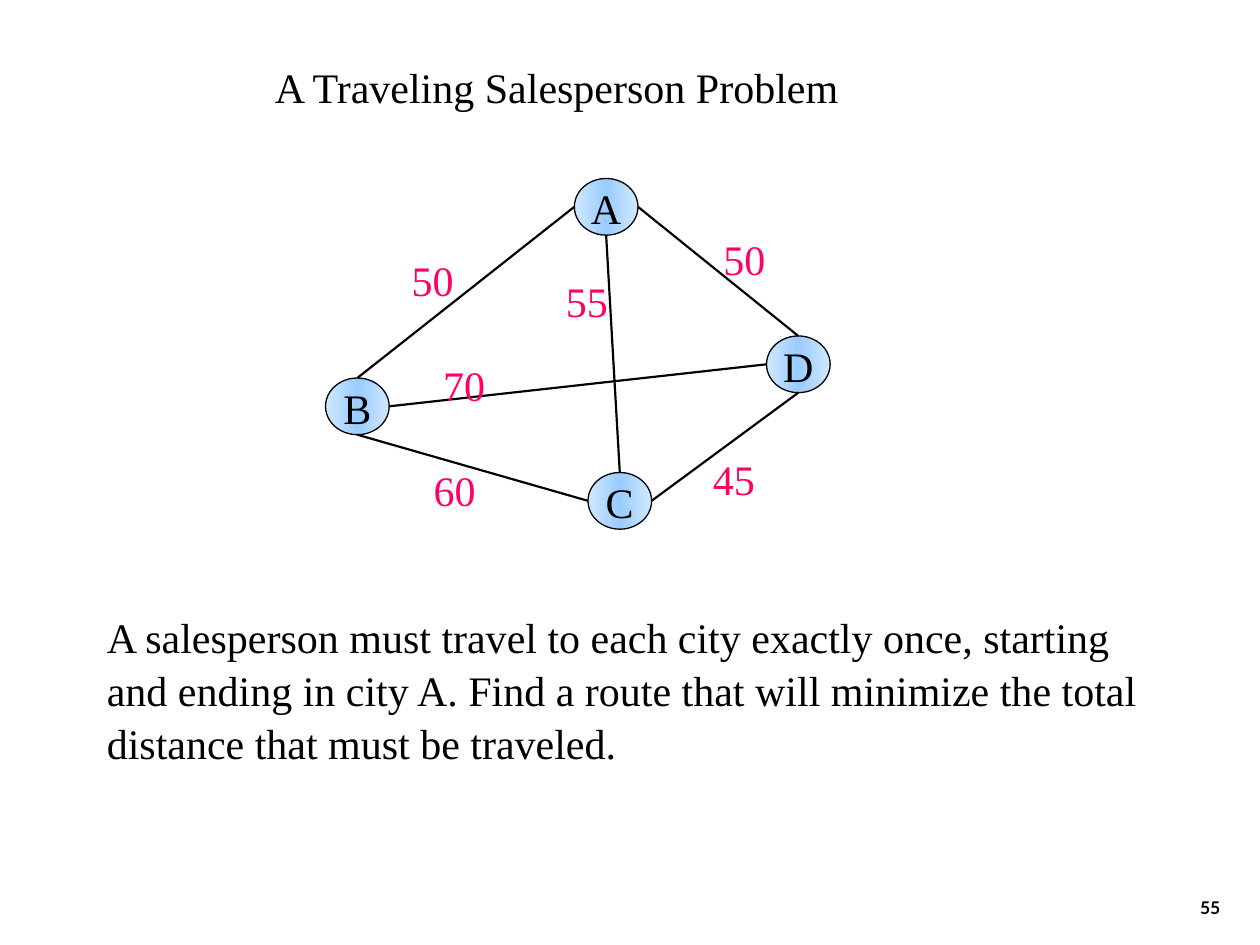
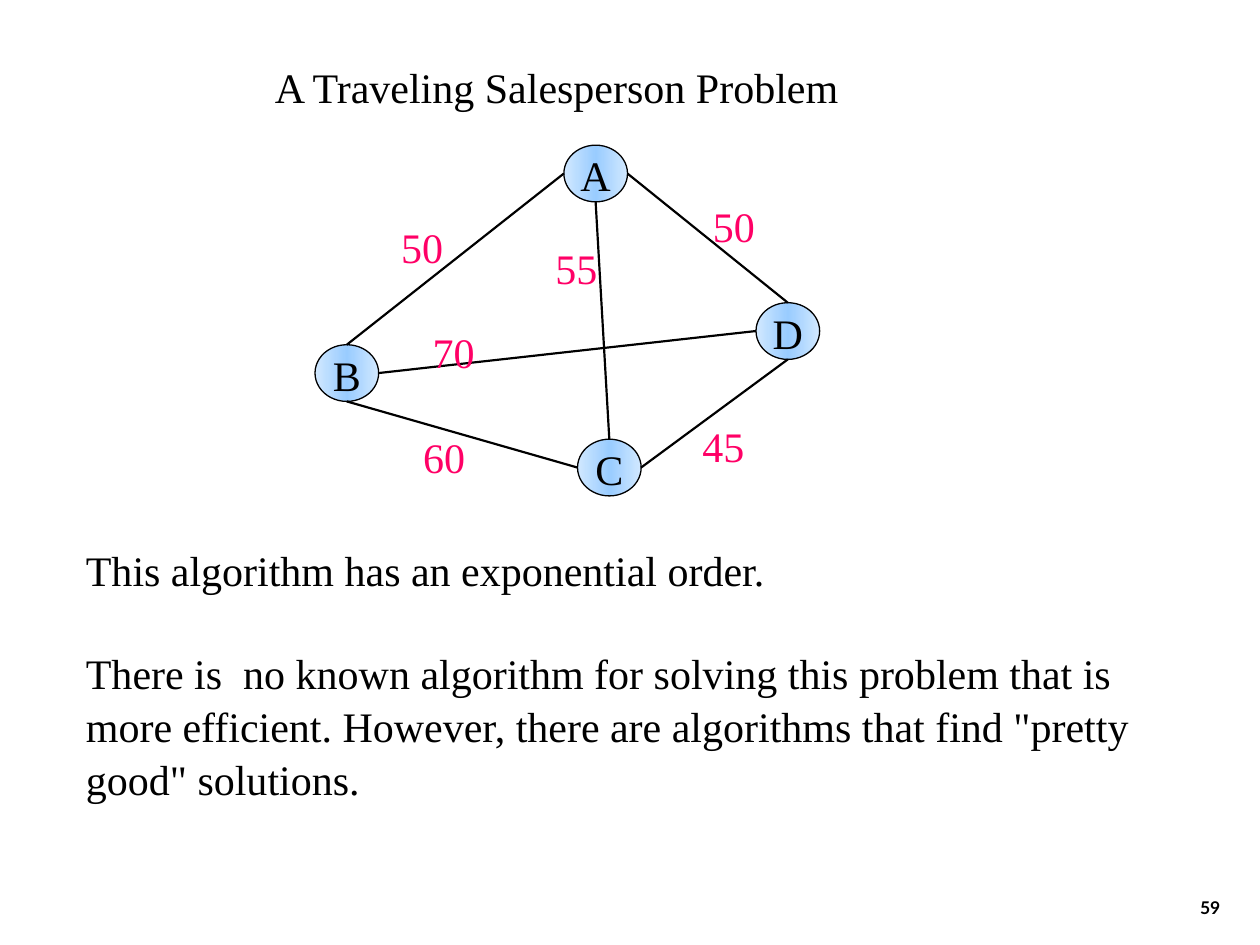
from dataclasses import dataclass
from enum import Enum

from lxml.etree import SubElement
from pptx import Presentation
from pptx.dml.color import RGBColor
from pptx.enum.shapes import MSO_CONNECTOR, MSO_SHAPE
from pptx.enum.text import MSO_ANCHOR, PP_ALIGN
from pptx.oxml.ns import qn
from pptx.shapes.autoshape import Shape
from pptx.shapes.shapetree import GroupShapes
from pptx.slide import Slide
from pptx.util import Inches, Length, Pt

SLIDE_WIDTH, SLIDE_HEIGHT = Inches(10), Inches(7.5)
COLUMNS, ROWS = 120, 90

BLACK = "000000"
DISTANCE_COLOR = "FF0066"
CITY_GRADIENT = ((0, "D1E8FF"), (50, "99CCFF"), (100, "D1E8FF"))

SERIF, SANS = "Times New Roman", "Lato"
TITLE = "A Traveling Salesperson Problem"
LINE_SPACING = 1.05
BLANK_LINE = Pt(29)


class Side(Enum):
    TOP = (0.5, 0)
    LEFT = (0, 0.5)
    BOTTOM = (0.5, 1)
    RIGHT = (1, 0.5)


@dataclass(frozen=True)
class Box:
    column: float
    row: float
    columns: float
    rows: float

    def moved(self, columns: float, rows: float) -> "Box":
        return Box(self.column + columns, self.row + rows, self.columns, self.rows)

    def place(self) -> tuple[Length, Length, Length, Length]:
        return across(self.column), down(self.row), across(self.columns), down(self.rows)

    def middle_of(self, side: Side) -> tuple[Length, Length]:
        share_across, share_down = side.value
        return (across(self.column + self.columns * share_across),
                down(self.row + self.rows * share_down))


@dataclass(frozen=True)
class TextStyle:
    font: str = SERIF
    size: int = 24
    color: str = BLACK
    bold: bool = False
    align: PP_ALIGN = PP_ALIGN.LEFT
    anchor: MSO_ANCHOR = MSO_ANCHOR.TOP
    wrap: bool = True
    spacing: float = LINE_SPACING


@dataclass(frozen=True)
class Road:
    start: str
    start_side: Side
    end: str
    end_side: Side
    distance: str
    label_column: float
    label_row: float


@dataclass(frozen=True)
class ProblemSlide:
    number: str
    graph_column: float
    graph_row: float
    body: Box
    blocks: tuple[tuple[str, ...], ...]


TITLE_BOX = Box(25, 5, 58, 6)
NUMBER_BOX = Box(92.4, 82, 25, 6)

BODY_STYLE = TextStyle()
NUMBER_STYLE = TextStyle(SANS, 10, bold=True, align=PP_ALIGN.RIGHT,
                         anchor=MSO_ANCHOR.BOTTOM, spacing=1.0)
CITY_STYLE = TextStyle(align=PP_ALIGN.CENTER, anchor=MSO_ANCHOR.MIDDLE, wrap=False)
DISTANCE_STYLE = TextStyle(color=DISTANCE_COLOR, align=PP_ALIGN.CENTER, wrap=False)

CITY_COLUMNS, CITY_ROWS = 6.06, 5.4
LABEL_COLUMNS, LABEL_ROWS = 6.4, 6
CITIES = {"A": (23.7, 0), "B": (0, 19), "C": (25, 28), "D": (42, 15)}
ROADS = (
    Road("A", Side.LEFT, "B", Side.TOP, "50", 7, 6.4),
    Road("A", Side.BOTTOM, "C", Side.TOP, "55", 21.7, 8.4),
    Road("A", Side.RIGHT, "D", Side.TOP, "50", 36.7, 4.4),
    Road("C", Side.LEFT, "B", Side.BOTTOM, "60", 9.1, 26.4),
    Road("B", Side.RIGHT, "D", Side.LEFT, "70", 10, 16.4),
    Road("D", Side.BOTTOM, "C", Side.RIGHT, "45", 35.7, 25.4),
)

SLIDES = (
    ProblemSlide("55", 31, 17, Box(9, 57.4, 102, 15.6), ((
        "A salesperson must travel to each city exactly once, starting",
        "and ending in city A. Find a route that will minimize the total",
        "distance that must be traveled.",
    ),)),
    ProblemSlide("59", 30, 13.83, Box(7, 51, 102, 25.2), (
        ("This algorithm has an exponential order.",),
        (
            "There is  no known algorithm for solving this problem that is",
            'more efficient. However, there are algorithms that find "pretty',
            'good" solutions.',
        ),
    )),
)


def across(columns: float) -> Length:
    return Length(round(SLIDE_WIDTH * columns / COLUMNS))


def down(rows: float) -> Length:
    return Length(round(SLIDE_HEIGHT * rows / ROWS))


def color(value: str) -> RGBColor:
    return RGBColor.from_string(value)


def write(shape: Shape, blocks: tuple[tuple[str, ...], ...], style: TextStyle) -> None:
    frame = shape.text_frame
    frame.word_wrap = style.wrap
    frame.vertical_anchor = style.anchor
    frame.text = "\n".join(line for block in blocks for line in block)
    block_starts = {sum(len(block) for block in blocks[:index])
                    for index in range(1, len(blocks))}
    for index, paragraph in enumerate(frame.paragraphs):
        paragraph.alignment = style.align
        paragraph.line_spacing = style.spacing
        if index in block_starts:
            paragraph.space_before = BLANK_LINE
        paragraph.font.name = style.font
        paragraph.font.size = Pt(style.size)
        paragraph.font.bold = style.bold
        paragraph.font.color.rgb = color(style.color)


def add_text(shapes: GroupShapes, box: Box, blocks: tuple[tuple[str, ...], ...],
             style: TextStyle) -> None:
    write(shapes.add_textbox(*box.place()), blocks, style)


def fill_with_gradient(shape: Shape) -> None:
    gradient = SubElement(shape.element.spPr, qn("a:gradFill"), rotWithShape="1")
    stops = SubElement(gradient, qn("a:gsLst"))
    for position, value in CITY_GRADIENT:
        stop = SubElement(stops, qn("a:gs"), pos=str(position * 1000))
        SubElement(stop, qn("a:srgbClr"), val=value)
    SubElement(gradient, qn("a:lin"), ang="0", scaled="1")


def add_city(shapes: GroupShapes, name: str, box: Box) -> None:
    city = shapes.add_shape(MSO_SHAPE.OVAL, *box.place())
    fill_with_gradient(city)
    city.line.color.rgb = color(BLACK)
    city.line.width = Pt(0.75)
    city.shadow.inherit = False
    write(city, ((name,),), CITY_STYLE)


def add_road(shapes: GroupShapes, road: Road, cities: dict[str, Box]) -> None:
    start = cities[road.start].middle_of(road.start_side)
    end = cities[road.end].middle_of(road.end_side)
    connector = shapes.add_connector(MSO_CONNECTOR.STRAIGHT, *start, *end)
    connector.line.color.rgb = color(BLACK)
    connector.line.width = Pt(1.25)
    SubElement(connector.element.spPr, qn("a:effectLst"))


def add_graph(slide: Slide, column: float, row: float) -> None:
    shapes = slide.shapes.add_group_shape().shapes
    cities = {name: Box(*corner, CITY_COLUMNS, CITY_ROWS).moved(column, row)
              for name, corner in CITIES.items()}
    for name, box in cities.items():
        add_city(shapes, name, box)
    for road in ROADS:
        add_road(shapes, road, cities)
    for road in ROADS:
        label = Box(road.label_column, road.label_row, LABEL_COLUMNS, LABEL_ROWS)
        add_text(shapes, label.moved(column, row), ((road.distance,),), DISTANCE_STYLE)


def main() -> None:
    presentation = Presentation()
    presentation.slide_width, presentation.slide_height = SLIDE_WIDTH, SLIDE_HEIGHT
    for content in SLIDES:
        slide = presentation.slides.add_slide(presentation.slide_layouts[6])
        add_text(slide.shapes, NUMBER_BOX, ((content.number,),), NUMBER_STYLE)
        add_text(slide.shapes, TITLE_BOX, ((TITLE,),), BODY_STYLE)
        add_graph(slide, content.graph_column, content.graph_row)
        add_text(slide.shapes, content.body, content.blocks, BODY_STYLE)
    presentation.save("out.pptx")


if __name__ == "__main__":
    main()
